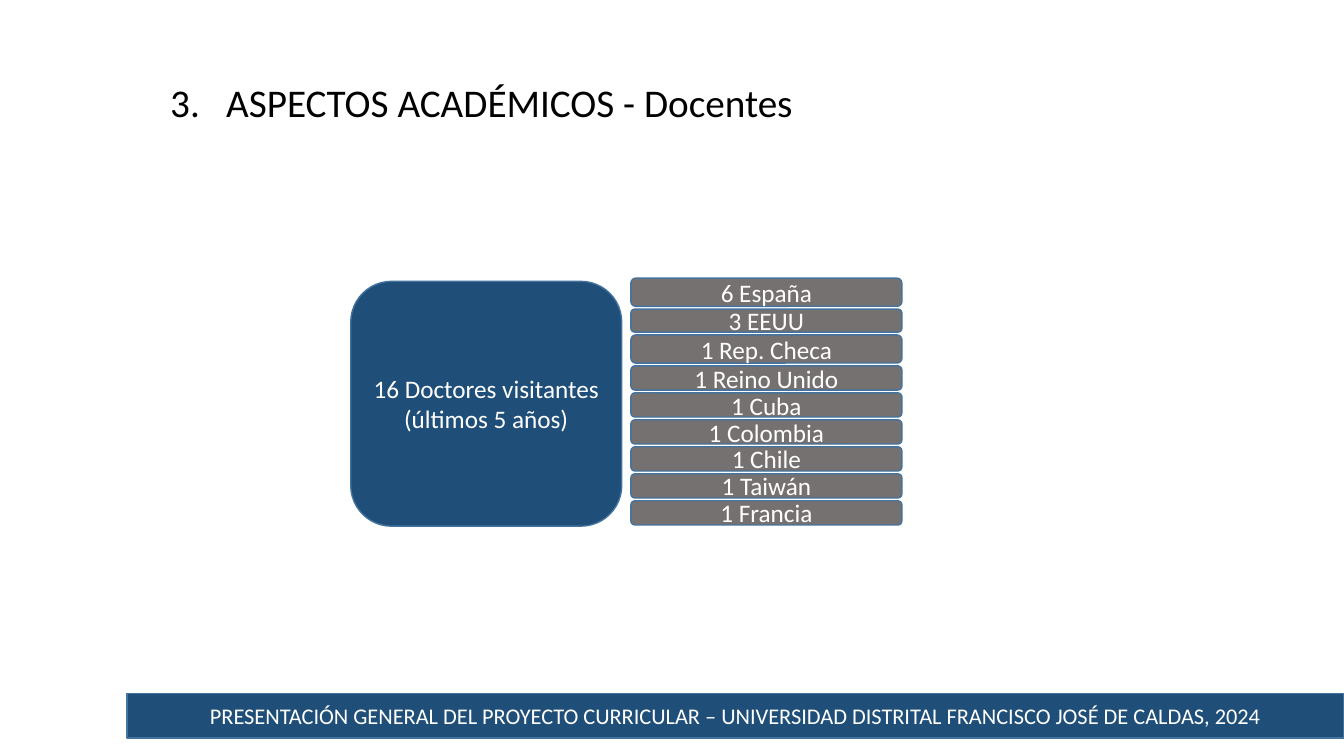
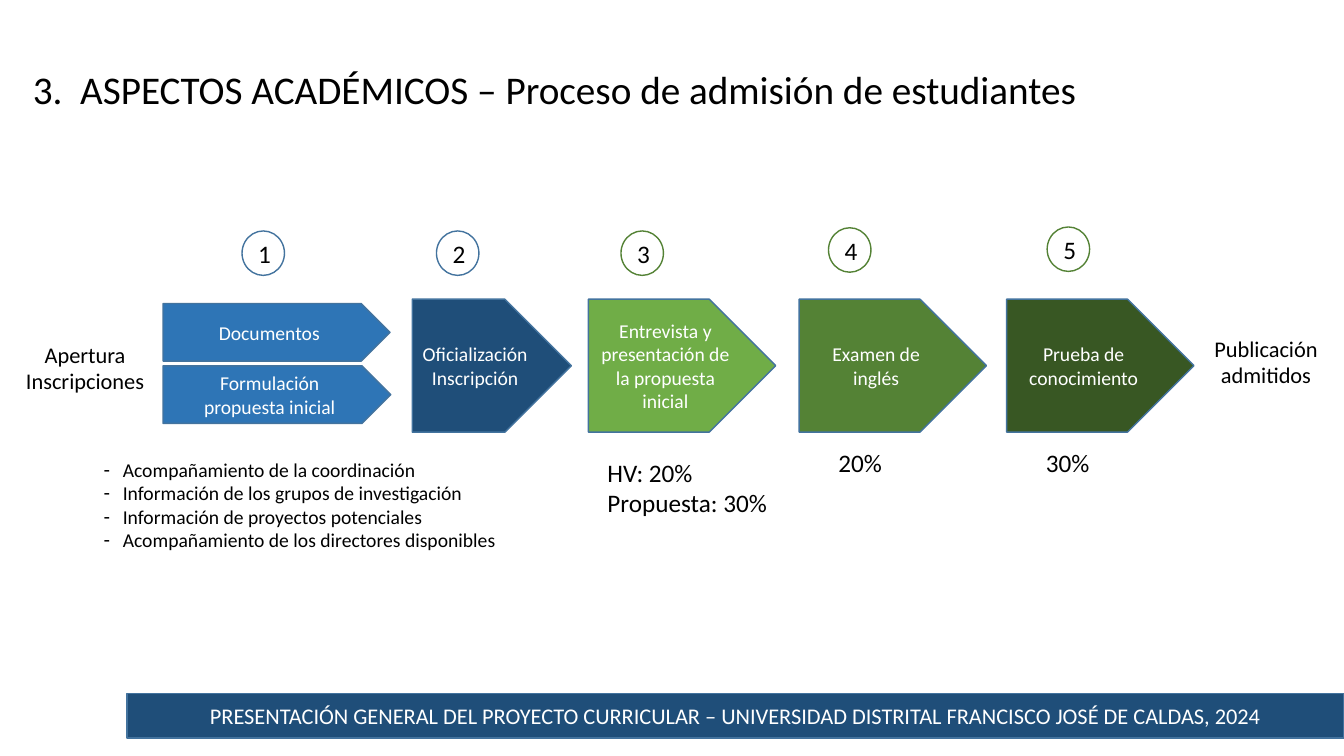
from lxml import etree
from pptx import Presentation
from pptx.dml.color import RGBColor
from pptx.enum.shapes import MSO_SHAPE as Preset
from pptx.enum.text import MSO_ANCHOR as Anchor, MSO_AUTO_SIZE as AutoSize, PP_ALIGN as Align
from pptx.oxml.ns import qn
from pptx.util import Cm, Pt

# Shared style
FONT = "Calibri"
WHITE = RGBColor(0xFF, 0xFF, 0xFF)
BLACK = RGBColor(0x00, 0x00, 0x00)
NAVY = RGBColor(0x1F, 0x4E, 0x79)
BLUE = RGBColor(0x2E, 0x75, 0xB6)
OUTLINE = RGBColor(0x43, 0x73, 0x9E)
GRAY = RGBColor(0x76, 0x71, 0x71)
LIGHT_GREEN = RGBColor(0x70, 0xAD, 0x47)
GREEN = RGBColor(0x54, 0x82, 0x35)
DARK_GREEN = RGBColor(0x38, 0x57, 0x23)
TITLE_ONLY, TITLE_AND_BODY = 5, 1

# Content: lengths in centimetres
FOOTER = ("PRESENTACIÓN GENERAL DEL PROYECTO CURRICULAR – "
          "UNIVERSIDAD DISTRITAL FRANCISCO JOSÉ DE CALDAS, 2024")
FOOTER_BOX = (3.2, 17.48, 30.67, 1.12)

VISITORS = ["16 Doctores visitantes", "(últimos 5 años)"]
VISITORS_BOX = (8.84, 7.09, 6.83, 6.17)
COUNTRIES = [  # text, row height
    ("6 España", 0.71), ("3 EEUU", 0.58), ("1 Rep. Checa", 0.71),
    ("1 Reino Unido", 0.61), ("1 Cuba", 0.61), ("1 Colombia", 0.61),
    ("1 Chile", 0.61), ("1 Taiwán", 0.61), ("1 Francia", 0.61),
]
COUNTRY_LEFT, COUNTRY_TOP, COUNTRY_WIDTH, COUNTRY_GAP = 15.9, 7.01, 6.83, 0.07

STAGE_TOP, STAGE_HEIGHT = 7.54, 3.35
STAGES = [  # lines, box, fill
    (["Documentos"], (4.11, 7.65, 5.72, 1.45), BLUE),
    (["Formulación", "propuesta inicial"], (4.11, 9.22, 5.74, 1.45), BLUE),
    (["Oficialización", "Inscripción"], (10.39, STAGE_TOP, 4.01, STAGE_HEIGHT), NAVY),
    (["Entrevista y presentación de la propuesta inicial"],
     (14.83, STAGE_TOP, 4.72, STAGE_HEIGHT), LIGHT_GREEN),
    (["Examen de inglés"], (20.14, STAGE_TOP, 4.72, STAGE_HEIGHT), GREEN),
    (["Prueba de conocimiento"], (25.37, STAGE_TOP, 4.72, STAGE_HEIGHT), DARK_GREEN),
]
NUMBERS = [  # left, top, outline
    (6.1, 5.82, OUTLINE), (11, 5.82, OUTLINE), (15.65, 5.82, GREEN),
    (20.88, 5.74, GREEN), (26.39, 5.72, GREEN),
]
LABELS = [  # lines, box, size, alignment
    (["20%"], (20.88, 11.15, 1.63, 1.02), 18, Align.LEFT),
    (["30%"], (26.11, 11.15, 1.63, 1.02), 18, Align.LEFT),
    (["HV: 20%", "Propuesta: 30%"], (15.06, 11.4, 4.57, 1.8), 18, Align.LEFT),
    (["Publicación", "admitidos"], (30.33, 8.31, 3.15, 1.63), 16, Align.CENTER),
    (["Apertura", "Inscripciones"], (0.38, 8.46, 3.53, 1.63), 16, Align.CENTER),
]
SUPPORT = [
    "Acompañamiento de la coordinación",
    "Información de los grupos de investigación",
    "Información de proyectos potenciales",
    "Acompañamiento de los directores disponibles",
]
SUPPORT_BOX = (2.36, 11.4, 10.49, 2.64)
SUPPORT_INDENT = 0.48


def write(shape, lines, size, color, align, tab=None, bullet_indent=None):
    frame = shape.text_frame
    frame.text = "\n".join(lines)
    for paragraph in frame.paragraphs:
        paragraph.alignment = align
        paragraph.space_before = Pt(0)
        properties = paragraph._p.get_or_add_pPr()
        if bullet_indent:
            properties.set("marL", str(Cm(bullet_indent)))
            properties.set("indent", str(-Cm(bullet_indent)))
            etree.SubElement(properties, qn("a:buChar"), char="-")
        if tab:
            stops = etree.SubElement(properties, qn("a:tabLst"))
            etree.SubElement(stops, qn("a:tab"), pos=str(Cm(tab)), algn="l")
        font = paragraph.font
        font.name, font.size = FONT, Pt(size)
        font.color.rgb = color


def place(shape, box):
    shape.left, shape.top, shape.width, shape.height = map(Cm, box)


def add_block(slide, preset, box, lines, size, fill=None, line=OUTLINE, color=WHITE):
    shape = slide.shapes.add_shape(preset, *map(Cm, box))
    shape.shadow.inherit = False
    if fill is None:
        shape.fill.background()
    else:
        shape.fill.solid()
        shape.fill.fore_color.rgb = fill
    shape.line.color.rgb = line
    shape.line.width = Pt(1)
    shape.text_frame.vertical_anchor = Anchor.MIDDLE
    write(shape, lines, size, color, Align.CENTER)


def add_label(slide, lines, box, size, align):
    label = slide.shapes.add_textbox(*map(Cm, box))
    label.text_frame.word_wrap = False
    label.text_frame.auto_size = AutoSize.SHAPE_TO_FIT_TEXT
    write(label, lines, size, BLACK, align)


def start_slide(presentation, layout, title, box, inset, tab):
    slide = presentation.slides.add_slide(presentation.slide_layouts[layout])
    heading = slide.shapes.title
    place(heading, box)
    frame = heading.text_frame
    frame.vertical_anchor, frame.auto_size = Anchor.TOP, AutoSize.NONE
    frame.margin_left = Cm(inset)
    write(heading, [title], 28, BLACK, Align.LEFT, tab=tab)
    add_block(slide, Preset.RECTANGLE, FOOTER_BOX, [FOOTER], 16, NAVY)
    return slide


def build_teachers(presentation):
    slide = start_slide(presentation, TITLE_ONLY, "3.\tASPECTOS ACADÉMICOS - Docentes",
                        (1.88, 1.85, 20.45, 1.45), inset=2.41, tab=1.41)
    add_block(slide, Preset.ROUNDED_RECTANGLE, VISITORS_BOX, VISITORS, 18, NAVY)
    top = COUNTRY_TOP
    for country, height in COUNTRIES:
        add_block(slide, Preset.ROUNDED_RECTANGLE,
                  (COUNTRY_LEFT, top, COUNTRY_WIDTH, height), [country], 18, GRAY)
        top += height + COUNTRY_GAP


def build_admission(presentation):
    slide = start_slide(presentation, TITLE_AND_BODY,
                        "3.\tASPECTOS ACADÉMICOS – Proceso de admisión de estudiantes",
                        (0.51, 1.52, 26.92, 1.45), inset=0.32, tab=1.19)
    for lines, box, fill in STAGES:
        add_block(slide, Preset.PENTAGON, box, lines, 14, fill)
    for number, (left, top, line) in enumerate(NUMBERS, start=1):
        add_block(slide, Preset.OVAL, (left, top, 1.07, 1.12), [str(number)], 18,
                  line=line, color=BLACK)
    for label in LABELS:
        add_label(slide, *label)

    # Support list
    body = slide.placeholders[1]
    place(body, SUPPORT_BOX)
    body.text_frame.word_wrap = False
    body.text_frame.auto_size = AutoSize.NONE
    write(body, SUPPORT, 14, BLACK, Align.LEFT, bullet_indent=SUPPORT_INDENT)


def main():
    presentation = Presentation()
    presentation.slide_width, presentation.slide_height = Cm(33.87), Cm(19.05)
    build_teachers(presentation)
    build_admission(presentation)
    presentation.save("out.pptx")


if __name__ == "__main__":
    main()
